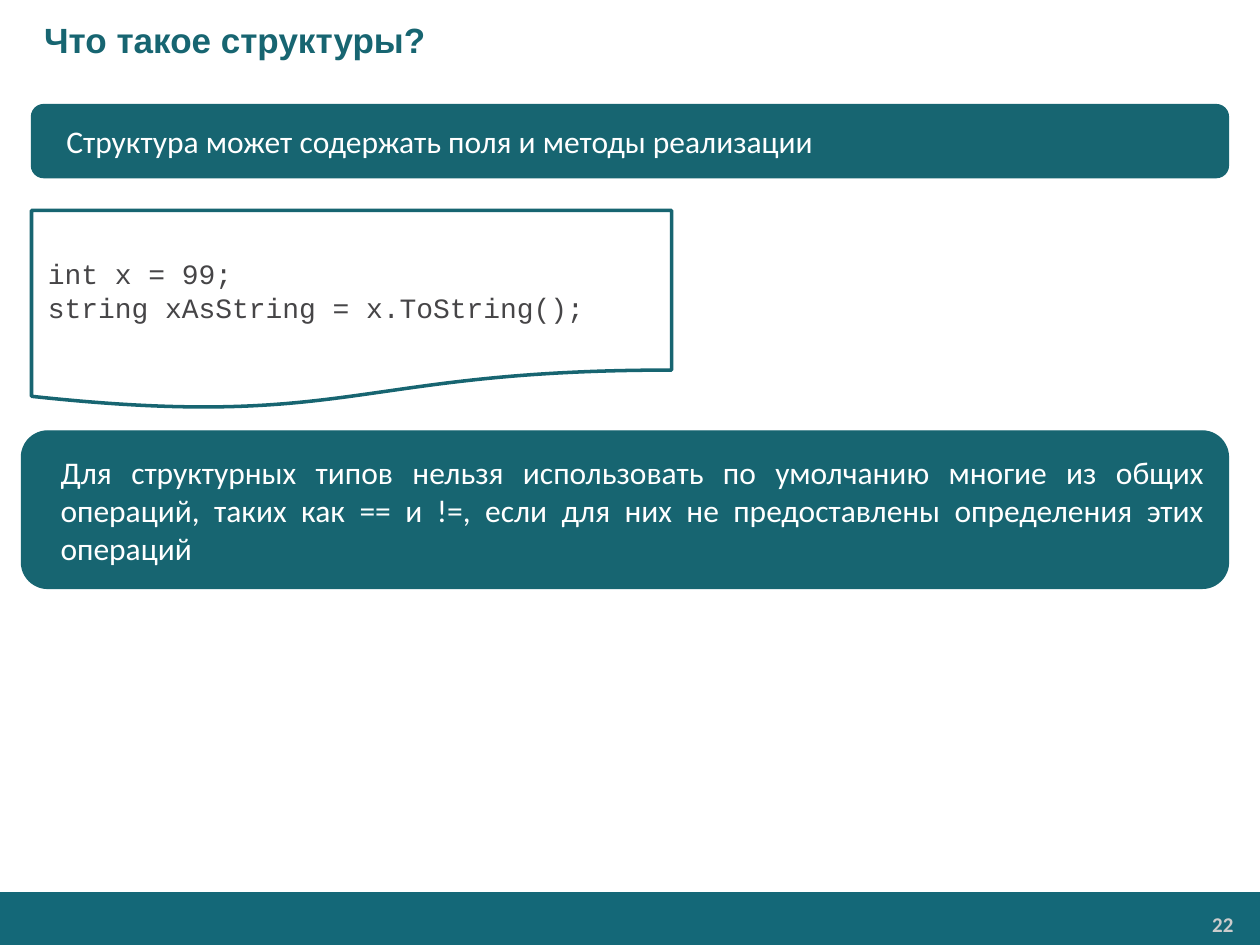
from pptx import Presentation
from pptx.dml.color import RGBColor
from pptx.enum.shapes import MSO_SHAPE
from pptx.enum.text import MSO_ANCHOR, PP_ALIGN
from pptx.util import Inches, Pt

RECT, ROUND = MSO_SHAPE.RECTANGLE, MSO_SHAPE.ROUNDED_RECTANGLE
PAGE = MSO_SHAPE.FLOWCHART_DOCUMENT
MIDDLE = MSO_ANCHOR.MIDDLE
LEFT, RIGHT, JUST = PP_ALIGN.LEFT, PP_ALIGN.RIGHT, PP_ALIGN.JUSTIFY

# Content
TITLE = "Что такое структуры?"
FIELDS = "Cтруктура может содержать поля и методы реализации"
CODE = ["int x = 99;", "string xAsString = x.ToString();"]
LIMIT = ("Для структурных типов нельзя использовать по умолчанию многие из общих "
         "операций, таких как == и !=, если для них не предоставлены определения "
         "этих операций")
NUMBER = "22"

# Style and layout, in inches
TEAL, BAR, WHITE, INK, GREY = "176571", "146878", "FFFFFF", "464547", "CCCCCC"
WIDE, HIGH = 10, 7.5
SIDE = 0.25
FULL = WIDE - 2 * SIDE
FOOT = 0.42


def color(code):
    return RGBColor.from_string(code)


def write(frame, lines, face, size, ink, align=LEFT, indent=0, bold=False):
    frame.word_wrap = True
    frame.vertical_anchor = MIDDLE
    frame.text = "\n".join(lines)
    for para in frame.paragraphs:
        para.alignment = align
        props = para._p.get_or_add_pPr()
        props.set("marL", str(Inches(indent)))
        props.set("indent", "0")
        font = para.font
        font.name, font.size, font.bold = face, Pt(size), bold
        font.color.rgb = color(ink)


def pad(frame, across, down):
    frame.margin_left = frame.margin_right = Inches(across)
    frame.margin_top = frame.margin_bottom = Inches(down)


def block(slide, kind, box, fill, edge=None, width=0.75):
    shape = slide.shapes.add_shape(kind, *map(Inches, box))
    shape.shadow.inherit = False
    shape.fill.solid()
    shape.fill.fore_color.rgb = color(fill)
    if edge:
        shape.line.color.rgb = color(edge)
        shape.line.width = Pt(width)
    else:
        shape.line.fill.background()
    pad(shape.text_frame, 0.13, 0.06)
    return shape.text_frame


def main():
    deck = Presentation()
    deck.slide_width, deck.slide_height = Inches(WIDE), Inches(HIGH)
    slide = deck.slides.add_slide(deck.slide_layouts[5])

    # Footer bar and page number
    block(slide, RECT, (0, HIGH - FOOT, WIDE, FOOT), BAR)
    page = slide.shapes.add_textbox(*map(Inches, (8.23, 7.19, 1.63, 0.28)))
    pad(page.text_frame, 0.07, 0.04)
    write(page.text_frame, [NUMBER], "Calibri", 12, GREY, RIGHT, bold=True)

    # Title
    title = slide.shapes.title
    title.left, title.top = 0, 0
    title.width, title.height = Inches(WIDE), Inches(0.63)
    write(title.text_frame, [TITLE], "Arial", 20, TEAL, indent=0.25, bold=True)

    # Statement panels
    panels = [
        (LIMIT, (0.17, 3.42, WIDE - SIDE - 0.17, 1.25)),
        (FIELDS, (SIDE, 0.83, FULL, 0.58)),
    ]
    for text, box in panels:
        frame = block(slide, ROUND, box, TEAL, TEAL)
        write(frame, [text], "Calibri", 18, WHITE, JUST, indent=0.12)

    # Code sample
    frame = block(slide, PAGE, (SIDE, 1.67, 5.08, 1.58), WHITE, TEAL, 2)
    write(frame, CODE, "Courier New", 16, INK)

    deck.save("out.pptx")


if __name__ == "__main__":
    main()
